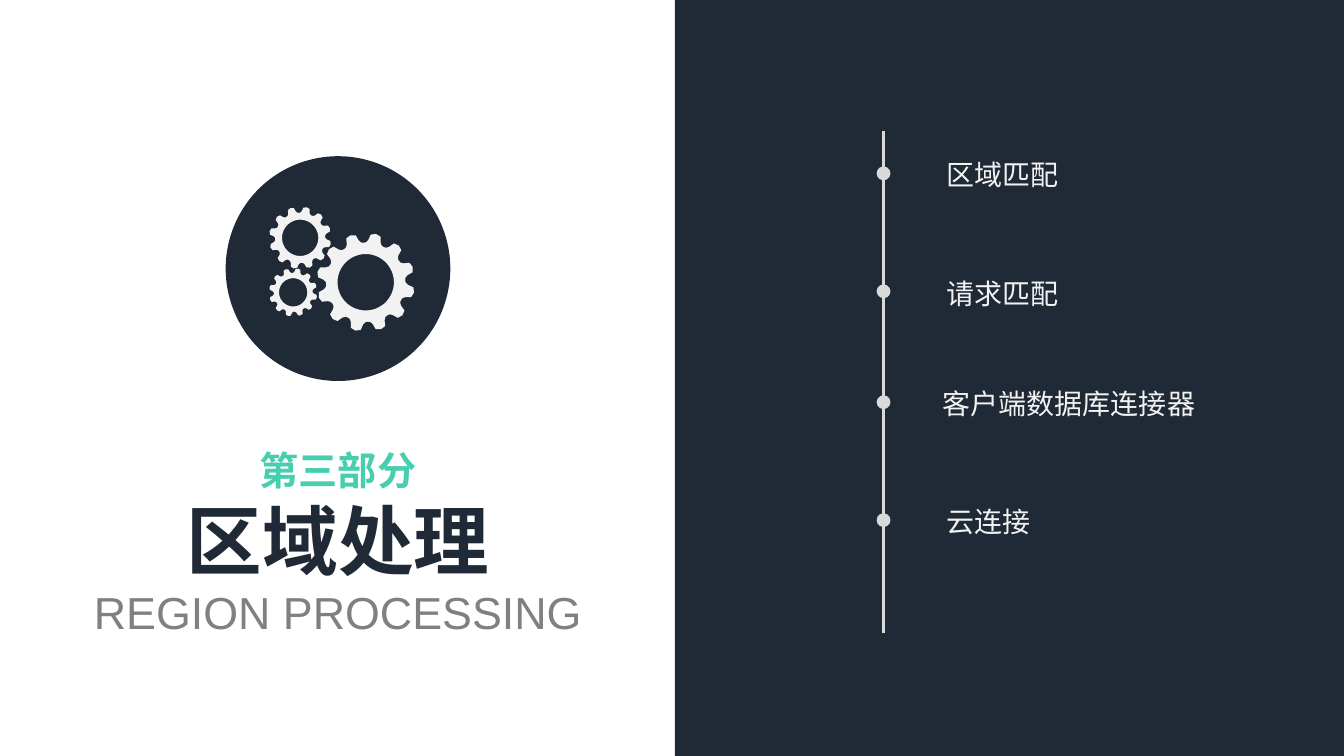
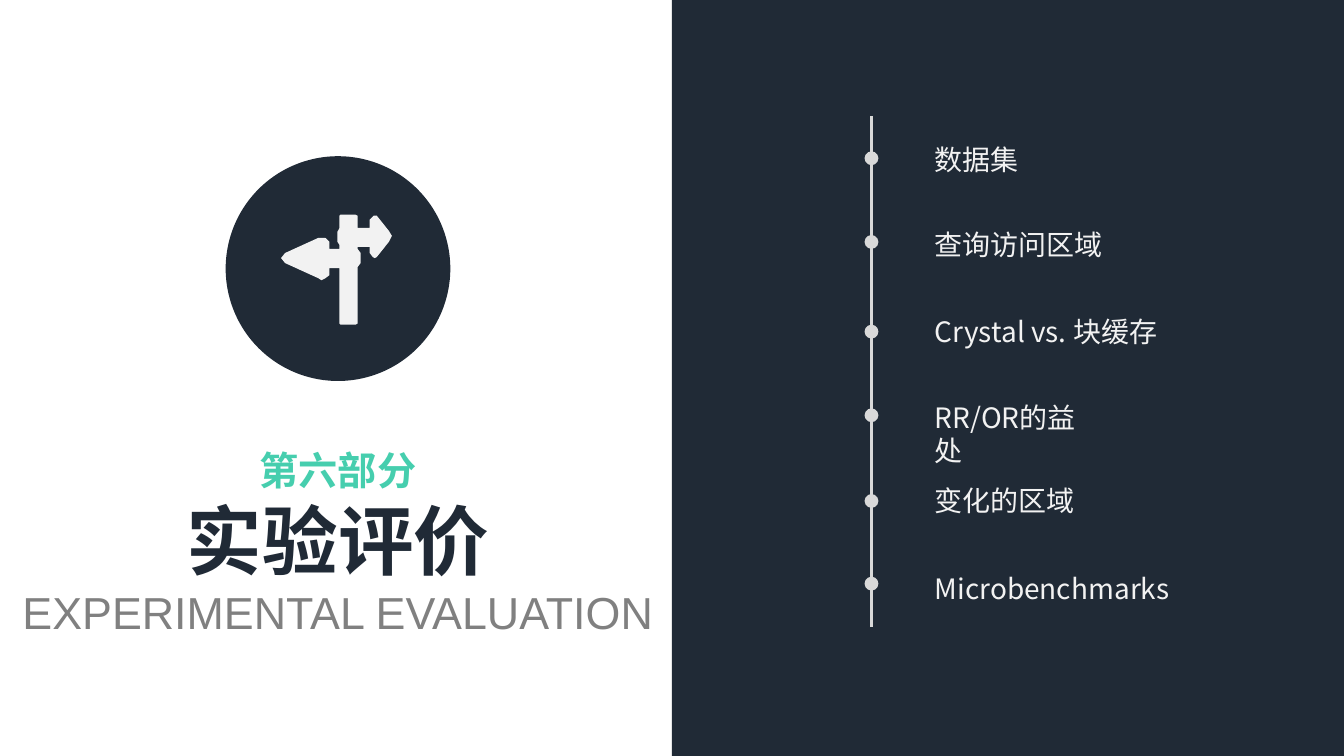
from math import cos, pi, sin

from lxml.etree import SubElement
from pptx import Presentation
from pptx.dml.color import RGBColor
from pptx.enum.shapes import MSO_CONNECTOR, MSO_SHAPE
from pptx.enum.text import PP_ALIGN
from pptx.oxml.ns import qn
from pptx.util import Pt

PX = 9144
SLIDE_W, SLIDE_H = 1334, 750
NAVY, PALE, RAIL = "202A36", "F2F2F2", "D9D9D9"
CJK = "Noto Sans CJK SC"
PART_FONT = {"size": Pt(28), "name": CJK, "color": "46CEAE", "bold": True}
TITLE_FONT = {"size": Pt(54), "name": CJK, "color": NAVY, "bold": True}
ENGLISH_FONT = {"size": Pt(32), "name": "Arial", "color": "808080", "bold": False}
TOPIC_FONT = {"size": Pt(20), "name": CJK, "color": PALE, "bold": False}
TEETH = 12
TOOTH = [(-0.5, 0.8), (-0.38, 0.81), (-0.28, 0.86), (-0.2, 0.97), (0, 1),
         (0.2, 0.97), (0.28, 0.86), (0.38, 0.81)]
GEARS = [(139, 125, 49, 28), (74, 81, 31, 18), (67, 135, 24, 14)]
SIGNPOST = [
    (162, 74), (150, 59), (147, 59), (143, 63), (143, 71), (131, 71), (131, 59),
    (129, 58), (114, 58), (113, 59), (113, 71), (111, 75), (111, 85), (113, 88),
    (113, 92), (103, 92), (103, 85), (99, 81), (92, 81), (59, 96), (55, 101),
    (59, 106), (92, 121), (95, 123), (99, 121), (103, 118), (103, 111), (113, 111),
    (113, 166), (114, 167), (129, 167), (131, 166), (131, 110), (134, 106),
    (134, 96), (131, 92), (131, 90), (143, 90), (143, 96), (146, 100), (148, 101),
    (150, 100), (162, 85), (165, 79),
]


def color(hex_string):
    """Return the colour for a hex string."""
    return RGBColor.from_string(hex_string)


def paint(shape, fill):
    """Give a shape a flat fill without line or shadow."""
    shape.shadow.inherit = False
    shape.fill.solid()
    shape.fill.fore_color.rgb = color(fill)
    shape.line.fill.background()


def add_block(slide, kind, box, fill):
    """Draw a flat preset shape in a px box."""
    paint(slide.shapes.add_shape(kind, *(n * PX for n in box)), fill)


def add_outline(slide, contours, fill):
    """Draw closed contours given in px as one freeform."""
    emu = [[(round(x * PX), round(y * PX)) for x, y in contour] for contour in contours]
    builder = slide.shapes.build_freeform(*emu[0][0], scale=1.0)
    for index, (start, *rest) in enumerate(emu):
        if index:
            builder.move_to(*start)
        builder.add_line_segments(rest, close=True)
    paint(builder.convert_to_shape(), fill)


def add_text(slide, box, lines, align=PP_ALIGN.LEFT):
    """Write (text, format) lines as paragraphs in a px box."""
    frame = slide.shapes.add_textbox(*(n * PX for n in box)).text_frame
    frame.word_wrap = True
    for index, (text, style) in enumerate(lines):
        paragraph = frame.add_paragraph() if index else frame.paragraphs[0]
        paragraph.alignment = align
        run = paragraph.add_run()
        run.text = text
        for key, value in style.items():
            if key == "color":
                run.font.color.rgb = color(value)
            else:
                setattr(run.font, key, value)
        SubElement(run.font._element, qn("a:ea"), typeface=style["name"])


def polar(x, y, radius, angle):
    """Return the point at an angle around a centre."""
    return x + radius * cos(angle), y + radius * sin(angle)


def draw_gears(slide, left, top):
    """Draw the three gears relative to the medallion corner."""
    for x, y, radius, hole in GEARS:
        center = left + x, top + y
        rim = [polar(*center, radius * reach, (tooth + shift + 0.4) * 2 * pi / TEETH)
               for tooth in range(TEETH) for shift, reach in TOOTH]
        bore = [polar(*center, hole, -step * pi / 30) for step in range(60)]
        add_outline(slide, [rim, bore], PALE)


def draw_signpost(slide, left, top):
    """Draw the signpost relative to the medallion corner."""
    add_outline(slide, [[(left + x, top + y) for x, y in SIGNPOST]], PALE)


def add_heading(slide, box, draw_icon, part, title, english):
    """Place the medallion and centred titles in the left region."""
    left, top, width, _ = box
    medallion = left + 224, top + 155
    add_block(slide, MSO_SHAPE.OVAL, (*medallion, 223, 223), NAVY)
    draw_icon(slide, *medallion)
    add_text(slide, (left, top + 438, width, 57), [(part, PART_FONT)], PP_ALIGN.CENTER)
    add_text(slide, (left, top + 485, width, 155),
             [(title, TITLE_FONT), (english, ENGLISH_FONT)], PP_ALIGN.CENTER)


def add_rail(slide, x, start, end, dotted):
    """Draw a vertical rail segment, with a dot at its end if asked."""
    rail = slide.shapes.add_connector(
        MSO_CONNECTOR.STRAIGHT, *(n * PX for n in (x, start, x, end)))
    rail.line.width = Pt(1.5)
    rail.line.color.rgb = color(RAIL)
    if dotted:
        SubElement(rail.line._ln, qn("a:tailEnd"), type="oval", w="lg", len="lg")
    SubElement(rail._element.spPr, qn("a:effectLst"))


def add_agenda(slide, box, rail_x, rail_top, rail_bottom, topics):
    """Place the dark panel with its dotted rail and topics."""
    left, top, _, _ = box
    add_block(slide, MSO_SHAPE.RECTANGLE, box, NAVY)
    x = left + rail_x
    stops = [rail_top, *(dot for dot, *_ in topics), rail_bottom]
    for index, (end, start) in enumerate(zip(stops, stops[1:])):
        add_rail(slide, x, top + start, top + end, dotted=index > 0)
    for _, text_top, indent, width, label in topics:
        add_text(slide, (x + indent, top + text_top, width, 44), [(label, TOPIC_FONT)])


def add_section(deck, split, heading, agenda):
    """Build a section slide divided at the split position."""
    slide = deck.slides.add_slide(deck.slide_layouts[6])
    add_heading(slide, (0, 0, 671, SLIDE_H), *heading)
    add_agenda(slide, (split, 0, SLIDE_W - split, SLIDE_H), *agenda)


def main():
    """Build and save both section slides."""
    deck = Presentation()
    deck.slide_width, deck.slide_height = SLIDE_W * PX, SLIDE_H * PX
    add_section(
        deck, 670,
        (draw_gears, "第三部分", "区域处理", "REGION PROCESSING"),
        (207, 130, 628, [
            (172, 151, 53, 280, "区域匹配"),
            (289, 269, 53, 280, "请求匹配"),
            (399, 379, 49, 280, "客户端数据库连接器"),
            (516, 496, 53, 280, "云连接"),
        ]))
    add_section(
        deck, 667,
        (draw_signpost, "第六部分", "实验评价", "EXPERIMENTAL EVALUATION"),
        (198, 115, 622, [
            (157, 136, 53, 280, "数据集"),
            (240, 221, 53, 280, "查询访问区域"),
            (329, 307, 53, 280, "Crystal vs. 块缓存"),
            (412, 392, 53, 180, "RR/OR的益处"),
            (497, 475, 53, 280, "变化的区域"),
            (579, 562, 53, 280, "Microbenchmarks"),
        ]))
    deck.save("out.pptx")


if __name__ == "__main__":
    main()
